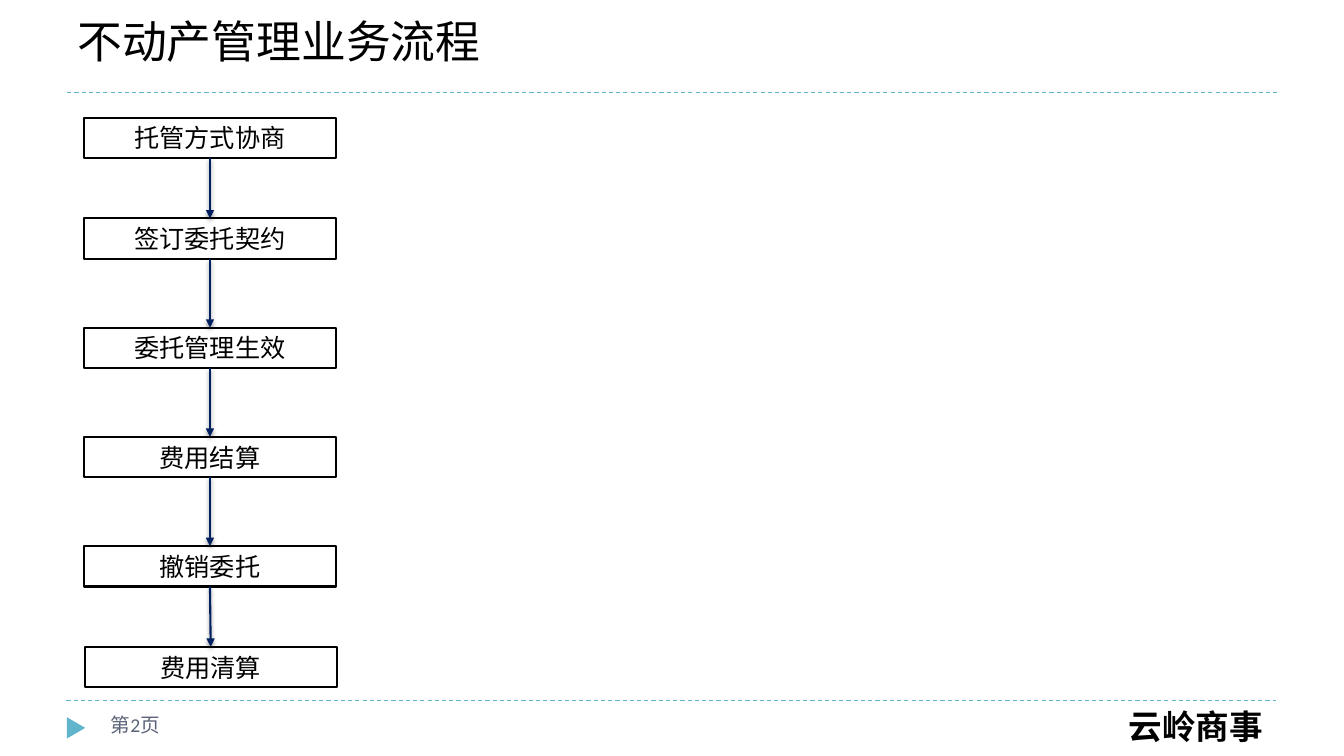
from itertools import pairwise

from lxml import etree
from pptx import Presentation
from pptx import util as u
from pptx.dml.color import RGBColor
from pptx.enum import dml, shapes, text
from pptx.oxml import ns

COLORS = {"ink": "000000", "paper": "FFFFFF", "accent": "60B5CC",
          "arrow": "002060", "muted": "5A6378"}
SANS, SANS_JP = "Noto Sans CJK SC", "Noto Sans CJK JP"

STEPS = [  # label, left, top
    ("托管方式协商", 60, 84),
    ("签订委托契约", 60, 156),
    ("委托管理生效", 60, 234),
    ("费用结算", 60, 312),
    ("撤销委托", 60, 390),
    ("费用清算", 60.5, 462),
]
STEP_WIDTH, STEP_HEIGHT = 180, 29


def color(name):
    return RGBColor.from_string(COLORS[name])


def add_xml(parent, tag, **attributes):
    return etree.SubElement(parent, ns.qn(tag), attributes)


class SlideBuilder:
    """Holds the slide being built and the style of its elements."""

    def __init__(self, page):
        self.page = page

    def set_words(self, shape, words, size, font, east_font=SANS, ink="ink", bold=False,
                  align=text.PP_ALIGN.LEFT, anchor=text.MSO_ANCHOR.MIDDLE):
        frame = shape.text_frame
        frame.text = words
        frame.word_wrap = True
        frame.auto_size = text.MSO_AUTO_SIZE.NONE
        frame.vertical_anchor = anchor
        para = frame.paragraphs[0]
        para.alignment = align
        for span in para.runs:
            span.font.size = u.Pt(size)
            span.font.name = font
            span.font.bold = bold
            span.font.color.rgb = color(ink)
            add_xml(span.font._element, "a:ea", typeface=east_font)

    def title(self, words, left, top, width, height):
        title = self.page.shapes.title
        title.left, title.top = u.Pt(left), u.Pt(top)
        title.width, title.height = u.Pt(width), u.Pt(height)
        self.set_words(title, words, 32, "TeX Gyre Bonum")

    def label(self, words, left, top, width, height, **style):
        box = self.page.shapes.add_textbox(*map(u.Pt, (left, top, width, height)))
        self.set_words(box, words, **style)

    def shape(self, kind, left, top, width, height, fill):
        shape = self.page.shapes.add_shape(kind, *map(u.Pt, (left, top, width, height)))
        shape.shadow.inherit = False
        shape.fill.solid()
        shape.fill.fore_color.rgb = color(fill)
        shape.line.fill.background()
        return shape

    def step(self, words, left, top):
        box = self.shape(shapes.MSO_SHAPE.RECTANGLE, left, top,
                         STEP_WIDTH, STEP_HEIGHT, "paper")
        box.line.color.rgb = color("ink")
        box.line.width = u.Pt(1.5)
        self.set_words(box, words, 18, SANS_JP, SANS_JP, align=text.PP_ALIGN.CENTER)
        return box

    def marker(self, left, top, width, height):
        triangle = self.shape(shapes.MSO_SHAPE.ISOSCELES_TRIANGLE,
                              left, top, width, height, "accent")
        triangle.rotation = 90

    def line(self, start, end, ink, width):
        """Return the line and its empty effect list."""
        line = self.page.shapes.add_connector(
            shapes.MSO_CONNECTOR.STRAIGHT, *map(u.Pt, (*start, *end)))
        line.line.color.rgb = color(ink)
        line.line.width = u.Pt(width)
        return line, add_xml(line._element.spPr, "a:effectLst")

    def rule(self, left, top, width):
        line, _ = self.line((left, top), (left + width, top), "accent", 0.75)
        line.line.dash_style = dml.MSO_LINE.DASH

    def arrow(self, upper, lower):
        """Join the bottom of one step to the top of the next."""
        line, effects = self.line((0, 0), (0, 0), "arrow", 1.5)
        line.begin_connect(upper, 2)
        line.end_connect(lower, 0)
        add_xml(line._element.spPr.find(ns.qn("a:ln")), "a:tailEnd", type="triangle")
        shadow = add_xml(effects, "a:outerShdw", blurRad=str(u.Pt(3)),
                         dist=str(u.Pt(2)), dir="5400000", rotWithShape="0")
        tint = add_xml(shadow, "a:srgbClr", val=COLORS["ink"])
        add_xml(tint, "a:alpha", val="40000")


def main():
    deck = Presentation()
    deck.slide_width, deck.slide_height = u.Pt(960), u.Pt(540)
    builder = SlideBuilder(deck.slides.add_slide(deck.slide_layouts[5]))

    builder.marker(46.8, 513.4, 15.1, 13)
    builder.label("云岭商事", 252, 500.4, 657.4, 36, size=24, font=SANS,
                  bold=True, align=text.PP_ALIGN.RIGHT)
    builder.rule(47.5, 500.4, 864)
    builder.rule(48, 66.2, 864)
    builder.label("第2页", 72, 505.4, 160, 29, size=14, font="Calibri",
                  ink="muted", anchor=text.MSO_ANCHOR.TOP)
    builder.title("不动产管理业务流程", 48, 6, 864, 46)

    boxes = [builder.step(*step) for step in STEPS]
    for upper, lower in pairwise(boxes):
        builder.arrow(upper, lower)

    deck.save("out.pptx")


if __name__ == "__main__":
    main()
